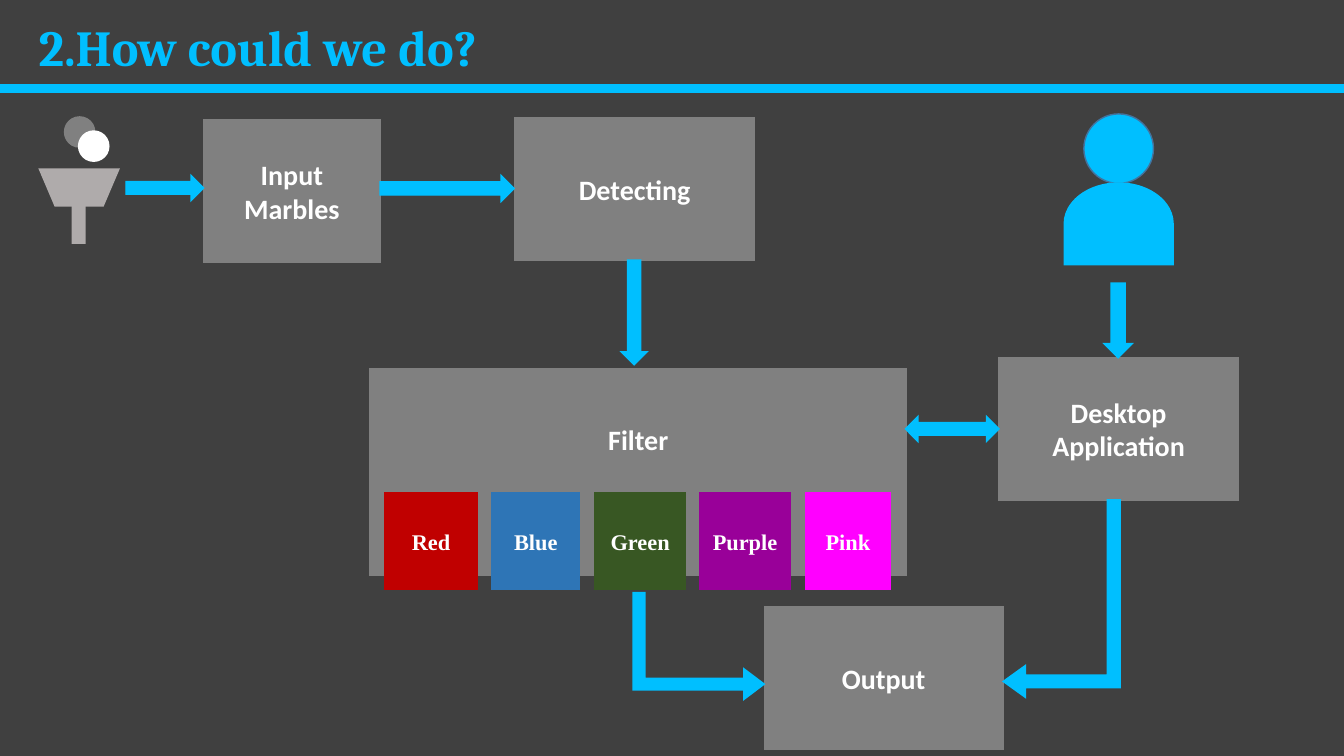
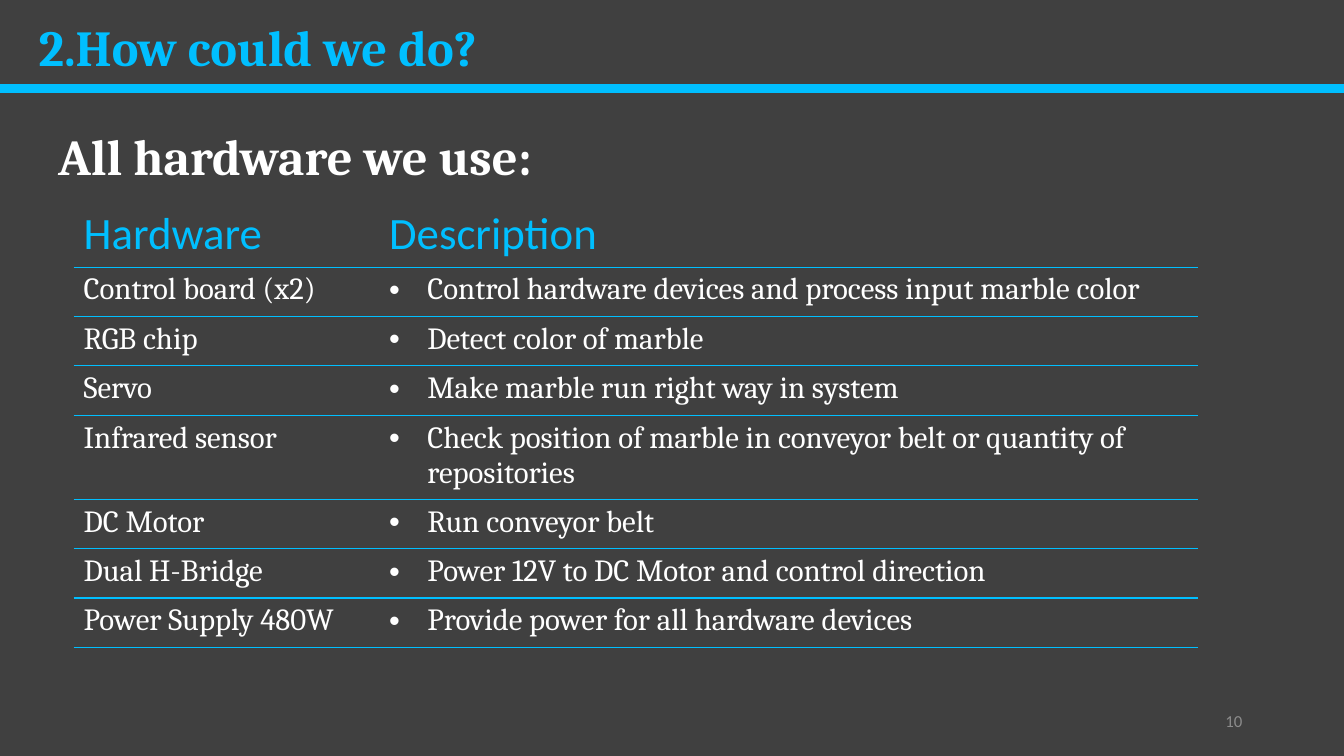
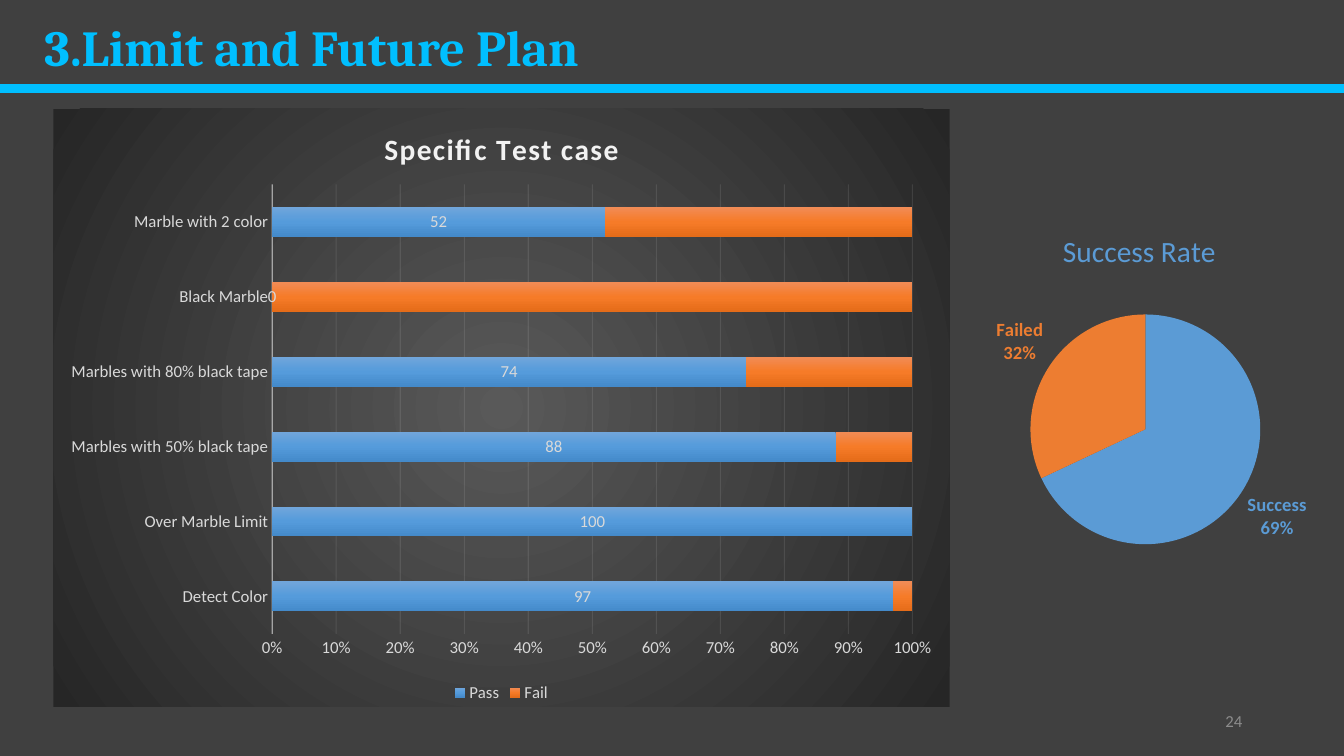
from lxml import etree
from pptx import Presentation
from pptx.chart.data import CategoryChartData
from pptx.dml.color import RGBColor
from pptx.enum.chart import XL_CHART_TYPE, XL_LABEL_POSITION, XL_LEGEND_POSITION, XL_TICK_MARK
from pptx.enum.shapes import MSO_CONNECTOR, MSO_SHAPE
from pptx.enum.text import MSO_ANCHOR, PP_ALIGN
from pptx.oxml import parse_xml
from pptx.oxml.ns import nsdecls, qn
from pptx.util import Inches, Pt

RECTANGLE, ELLIPSE = MSO_SHAPE.RECTANGLE, MSO_SHAPE.OVAL
RIGHT_ARROW, DOWN_ARROW = MSO_SHAPE.RIGHT_ARROW, MSO_SHAPE.DOWN_ARROW
BOTH_ARROW, BENT_ARROW = MSO_SHAPE.LEFT_RIGHT_ARROW, MSO_SHAPE.BENT_UP_ARROW
FUNNEL, DELAY = MSO_SHAPE.FLOWCHART_MANUAL_OPERATION, MSO_SHAPE.FLOWCHART_DELAY
CENTER, RIGHT = PP_ALIGN.CENTER, PP_ALIGN.RIGHT
MIDDLE = MSO_ANCHOR.MIDDLE
NO_TICK = XL_TICK_MARK.NONE

DARK, CYAN, GREY, WHITE = "404040", "00BFFF", "808080", "FFFFFF"
PALE, BLUE, ORANGE = "D9D9D9", "5B9BD5", "ED7D31"
HEADING, BODY, SERIF = "Cambria", "Calibri", "Times New Roman"
rgb = RGBColor.from_string


def style(font, size, name, colour, bold=False):
    font.size, font.name, font.bold = Pt(size), name, bold
    font.color.rgb = rgb(colour)


def add_block(page, kind, place, fill=None, line=None, text="", size=20,
              name=BODY, colour=WHITE, bold=True, align=CENTER):
    """Add a preset shape, or a text box when kind is None."""
    place = [Inches(value) for value in place]
    if kind is None:
        block = page.shapes.add_textbox(*place)
    else:
        block = page.shapes.add_shape(kind, *place)
        block.shadow.inherit = False
        block.fill.solid()
        block.fill.fore_color.rgb = rgb(fill)
        if line:
            block.line.color.rgb = rgb(line)
            block.line.width = Pt(1)
            outline = block._element.spPr.find(qn("a:ln"))
            etree.SubElement(outline, qn("a:miter")).set("lim", "800000")
        else:
            block.line.fill.background()
    if text:
        frame = block.text_frame
        frame.word_wrap = True
        frame.vertical_anchor = MIDDLE
        frame.text = text
        frame.paragraphs[0].alignment = align
        style(frame.paragraphs[0].font, size, name, colour, bold)
    return block


deck = Presentation()
deck.slide_width, deck.slide_height = Inches(13.33), Inches(7.5)
background = deck.slide_master.background.fill
background.solid()
background.fore_color.rgb = rgb(DARK)

# Shared frame: title, band and page number
pages = []
for title, width, number in [("2.How could we do?", 5.11, ""),
                             ("2.How could we do?", 5.11, "10"),
                             ("3.Limit and Future Plan", 6.18, "24")]:
    page = deck.slides.add_slide(deck.slide_layouts[6])
    band = page.shapes.add_connector(MSO_CONNECTOR.STRAIGHT, 0, Inches(0.88),
                                     deck.slide_width, Inches(0.88))
    band.line.color.rgb = rgb(CYAN)
    band.line.width = Pt(6)
    etree.SubElement(band._element.spPr, qn("a:effectLst"))
    add_block(page, None, (0, 0, width, 0.92), text=title, size=36, name=HEADING, colour=CYAN)
    if number:
        add_block(page, None, (9.42, 6.95, 3, 0.4), text=number, size=12,
                  colour="8C8C8C", bold=False, align=RIGHT)
    pages.append(page)
flow_page, hardware_page, result_page = pages

# Flow: process boxes
for text, place in [("Input Marbles", (2.02, 1.19, 1.75, 1.41)),
                    ("Detecting", (5.11, 1.17, 2.37, 1.41)),
                    ("Desktop Application", (9.91, 3.55, 2.37, 1.41)),
                    ("Output", (7.58, 6.02, 2.37, 1.41))]:
    add_block(flow_page, RECTANGLE, place, GREY, GREY, text)
filter_box = add_block(flow_page, RECTANGLE, (3.67, 3.66, 5.32, 2.05), GREY, GREY, "Filter")
filter_box.text_frame.margin_bottom = Inches(0.71)

# Flow: colour bins
for text, left, width, fill in [("Red", 3.82, 0.91, "C00000"), ("Blue", 4.88, 0.87, "2E75B6"),
                                ("Green", 5.9, 0.9, "385723"), ("Purple", 6.94, 0.9, "990099"),
                                ("Pink", 7.99, 0.84, "FF00FF")]:
    bin_box = add_block(flow_page, RECTANGLE, (left, 4.89, width, 0.96), fill, fill, text, 16, SERIF)
    bin_box.text_frame.margin_left = bin_box.text_frame.margin_right = Inches(0.05)

# Flow: arrows
for kind, place in [(RIGHT_ARROW, (1.25, 1.74, 0.77, 0.25)),
                    (RIGHT_ARROW, (3.77, 1.74, 1.33, 0.26)),
                    (DOWN_ARROW, (6.16, 2.58, 0.26, 1.04)),
                    (DOWN_ARROW, (10.95, 2.81, 0.28, 0.74)),
                    (BOTH_ARROW, (8.98, 4.13, 0.93, 0.25))]:
    add_block(flow_page, kind, place, CYAN, CYAN)
for place, turn, head, flipped in [((6.4, 5.76, 1.06, 1.3), 90, 0.144, False),
                                   ((9.55, 5.36, 1.96, 1.16), 270, 0.137, True)]:
    arrow = add_block(flow_page, BENT_ARROW, place, CYAN, CYAN)
    arrow.rotation = turn
    for index, value in enumerate((0.109, head, 0.191)):
        arrow.adjustments[index] = value
    if flipped:
        arrow._element.spPr.find(qn("a:xfrm")).set("flipH", "1")

# Flow: marbles, funnel and user
for kind, place, fill, line in [(ELLIPSE, (0.64, 1.16, 0.3, 0.3), GREY, GREY),
                                (ELLIPSE, (0.78, 1.3, 0.3, 0.3), WHITE, WHITE),
                                (FUNNEL, (0.38, 1.67, 0.81, 0.38), "AFABAB", None),
                                (RECTANGLE, (0.71, 2.03, 0.14, 0.39), "AFABAB", None),
                                (ELLIPSE, (10.75, 1.13, 0.69, 0.69), CYAN, "43739E")]:
    add_block(flow_page, kind, place, fill, line)
torso = add_block(flow_page, DELAY, (10.69, 1.68, 0.81, 1.08), CYAN, CYAN)
torso.rotation = 270

# Hardware table
add_block(hardware_page, None, (0, 1.08, 5.85, 0.92), text="All hardware we use:",
          size=36, name=HEADING)
hardware = [
    ("Hardware", "Description"),
    ("Control board (x2)", "Control hardware devices and process input marble color"),
    ("RGB chip", "Detect color of marble"),
    ("Servo", "Make marble run right way in system"),
    ("Infrared sensor", "Check position of marble in conveyor belt or quantity of repositories"),
    ("DC Motor", "Run conveyor belt"),
    ("Dual H-Bridge", "Power 12V to DC Motor and control direction"),
    ("Power Supply 480W", "Provide power for all hardware devices"),
]
table = hardware_page.shapes.add_table(len(hardware), 2, Inches(0.73), Inches(2),
                                       Inches(11.15), Inches(4.08)).table
table.first_row = table.horz_banding = False
table._tbl.tblPr.find(qn("a:tableStyleId")).text = "{2D5ABB26-0587-4C30-8999-92F81FD0307C}"
for column, width in zip(table.columns, (3.03, 8.12)):
    column.width = Inches(width)
for row, texts in enumerate(hardware):
    table.rows[row].height = Inches(0.49 if row else 0.65)
    for column, text in enumerate(texts):
        cell = table.cell(row, column)
        cell.fill.background()
        for position, edge in enumerate(("lnT", "lnB") if row else ("lnB",)):
            cell._tc.get_or_add_tcPr().insert(position, parse_xml(
                f'<a:{edge} {nsdecls("a")} w="12700"><a:solidFill>'
                f'<a:srgbClr val="{CYAN}"/></a:solidFill></a:{edge}>'))
        cell.text = text
        para = cell.text_frame.paragraphs[0]
        if row and column:
            properties = para._p.get_or_add_pPr()
            properties.set("marL", str(Inches(0.38)))
            properties.set("indent", str(-Inches(0.38)))
            etree.SubElement(properties, qn("a:buFont")).set("typeface", "Arial")
            etree.SubElement(properties, qn("a:buChar")).set("char", "•")
        if row:
            style(para.font, 22, HEADING, WHITE)
        else:
            style(para.font, 32, BODY, CYAN)

# Test case bar chart
passes = [97, 100, 88, 74, 0, 52]
data = CategoryChartData()
data.categories = ["Detect Color", "Over Marble Limit", "Marbles with 50% black tape",
                   "Marbles with 80% black tape", "Black Marble", "Marble with 2 color"]
data.add_series("Pass", passes)
data.add_series("Fail", [100 - value for value in passes])
bars_frame = result_page.shapes.add_chart(XL_CHART_TYPE.BAR_STACKED_100, Inches(0.53),
                                          Inches(1.08), Inches(8.89), Inches(5.93), data)
bars = bars_frame.chart
plot = bars.plots[0]
plot.gap_width, plot.overlap, plot.vary_by_categories = 150, 100, False
bars.has_legend = True
bars.legend.position = XL_LEGEND_POSITION.BOTTOM
bars.legend.include_in_layout = False
style(bars.legend.font, 12, BODY, PALE)

names, scale = bars.category_axis, bars.value_axis
scale.has_major_gridlines = True
for axis, line, width, alpha in [(names, names.format.line, 1, 54),
                                 (scale, scale.major_gridlines.format.line, 0.75, 10)]:
    line.width = Pt(width)
    line.color.rgb = rgb("F2F2F2")
    tint = axis._element.find(".//" + qn("a:srgbClr"))
    etree.SubElement(tint, qn("a:alpha")).set("val", str(alpha * 1000))
    axis.major_tick_mark = axis.minor_tick_mark = NO_TICK
    style(axis.tick_labels.font, 12, BODY, PALE)
scale.format.line.fill.background()
scale.tick_labels.number_format = "0%"
scale.tick_labels.number_format_is_linked = False
labels = plot.series[0].data_labels
labels.show_value = True
style(labels.font, 12, BODY, PALE)

# Gradients of the chart area and the two series
area = parse_xml(f'<c:spPr {nsdecls("c", "a")}/>')
bars._chartSpace.find(qn("c:chart")).addnext(area)
downward = '<a:lin ang="5400000" scaled="0"/>'
radial = '<a:path path="circle"><a:fillToRect l="50000" t="50000" r="50000" b="50000"/></a:path>'
for properties, stops, direction in [
        (area, {0: "595959", 100: "262626"}, radial),
        (plot.series[0]._element.get_or_add_spPr(),
         {0: "71A6DB", 50: "559BDB", 100: "448ACA"}, downward),
        (plot.series[1]._element.get_or_add_spPr(),
         {0: "F18C57", 50: "F67B28", 100: "E56C19"}, downward)]:
    marks = "".join(f'<a:gs pos="{place * 1000}"><a:srgbClr val="{colour}"/></a:gs>'
                    for place, colour in stops.items())
    properties.insert(0, parse_xml(f'<a:gradFill {nsdecls("a")} rotWithShape="1">'
                                   f'<a:gsLst>{marks}</a:gsLst>{direction}</a:gradFill>'))
etree.SubElement(etree.SubElement(area, qn("a:ln")), qn("a:noFill"))

# Success rate pie chart
data = CategoryChartData()
data.categories = ["Success", "Failed"]
data.add_series("Series 1", [68, 32])
pie_frame = result_page.shapes.add_chart(XL_CHART_TYPE.PIE, Inches(9.27), Inches(2.12),
                                         Inches(4.06), Inches(3.84), data)
pie = pie_frame.chart
pie.has_legend = False
pie.plots[0].vary_by_categories = False
slices = pie.plots[0].series[0]
for index, (colour, lines) in enumerate([(BLUE, ("Success", "69%")), (ORANGE, ("Failed", "32%"))]):
    point = slices.points[index]
    point.format.fill.solid()
    point.format.fill.fore_color.rgb = rgb(colour)
    label = point.data_label
    label.text_frame.text = "\n".join(lines)
    for para in label.text_frame.paragraphs:
        style(para.runs[0].font, 13.3, BODY, colour, True)
    label.position = XL_LABEL_POSITION.OUTSIDE_END
for flag, value in [("showVal", "0"), ("showCatName", "1"), ("showPercent", "1")]:
    for element in slices._element.iter(qn("c:" + flag)):
        element.set("val", value)
for label in slices._element.iter(qn("c:dLbl")):
    etree.SubElement(label, qn("c:separator")).text = "\n"

# Titles and plot areas of both charts, placed in inches from the chart corner
for frame, title, colour, bold, title_place, plot_place in [
        (bars_frame, "Specific Test case", "F2F2F2", True, (3.23, 0.14), (2.17, 0.75, 6.35, 4.46)),
        (pie_frame, "Success Rate", BLUE, False, (1.22, 0.12), (0.95, 1, 2.28, 2.28))]:
    chart = frame.chart
    chart.font.size, chart.font.name = Pt(10), BODY
    chart.has_title = True
    heading = chart.chart_title
    heading.text_frame.text = title
    span = heading.text_frame.paragraphs[0].runs[0]
    style(span.font, 21, BODY, colour, bold)
    if bold:
        span.font._element.set("spc", "100")
    heading.include_in_layout = False
    plot_area = chart._chartSpace.find(".//" + qn("c:plotArea"))
    for parent, position, place in [(heading._element, 1, title_place), (plot_area, 0, plot_place)]:
        for old in parent.findall(qn("c:layout")):
            parent.remove(old)
        layout = etree.Element(qn("c:layout"))
        parent.insert(position, layout)
        manual = etree.SubElement(layout, qn("c:manualLayout"))
        settings = [("xMode", "edge"), ("yMode", "edge")]
        if parent is plot_area:
            settings.insert(0, ("layoutTarget", "inner"))
        for tag, length, whole in zip("xywh", place, (frame.width, frame.height) * 2):
            settings.append((tag, str(Inches(length) / whole)))
        for tag, value in settings:
            etree.SubElement(manual, qn("c:" + tag)).set("val", value)

deck.save("out.pptx")
